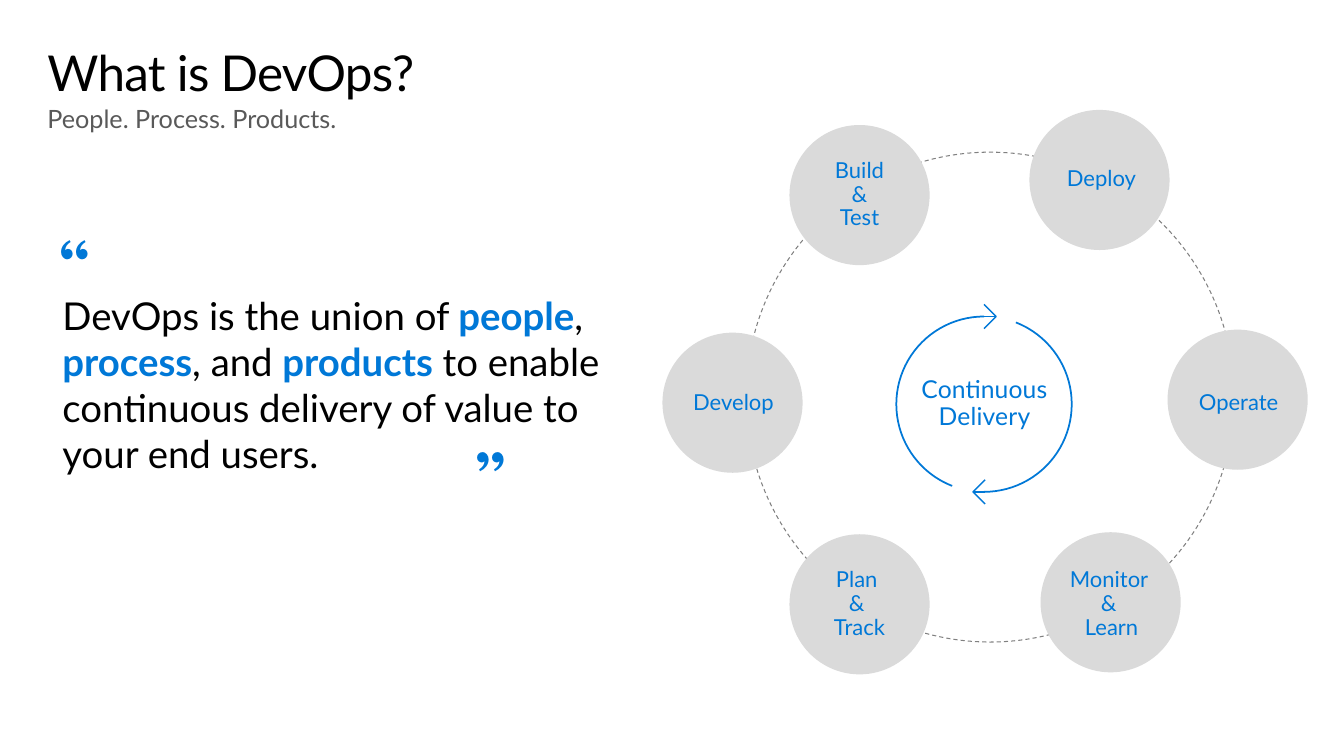
import copy

import pptx
import pptx.dml.color
import pptx.enum.dml
import pptx.enum.shapes
import pptx.enum.text
import pptx.oxml
import pptx.oxml.ns
import pptx.util
from pptx.util import Inches

BLUE = "0078D7"
BLACK = "000000"
DISC_SIZE = 1.39
CYCLE_X, CYCLE_Y, CYCLE_RADIUS = 9.76, 4.01, 0.87
LABEL_WIDTH = 1.27
LABEL_INSETS = (0.2, 0.16, 0.2, 0.16)

# Disc left and top, label, label left, top and height (None puts it in the disc)
STAGES = [
    (7.83, 1.24, "Build\n&\nTest", None),
    (10.21, 1.09, "Deploy", (10.29, 1.5, 0.55)),
    (11.58, 3.27, "Operate", (11.65, 3.72, 0.55)),
    (10.32, 5.28, "Monitor \n& \nLearn", (10.39, 5.48, 1.03)),
    (7.83, 5.3, "Plan \n& \nTrack", (7.89, 5.48, 1.03)),
    (6.57, 3.3, "Develop", (6.64, 3.72, 0.55)),
]


def rgb(color):
    return pptx.dml.color.RGBColor.from_string(color)


def add_run(paragraph, text, size, font, color, bold, spacing):
    """Add text to the paragraph; a newline becomes a line break of the same size."""
    for index, line in enumerate(text.split("\n")):
        if index:
            paragraph.add_line_break()
        run = paragraph.add_run()
        run.text = line
        run.font.name = font
        run.font.size = pptx.util.Pt(size)
        run.font.bold = bold
        run.font.color.rgb = rgb(color)
        if spacing:
            run.font._element.set("spc", str(round(spacing * 100)))
    for line_break in paragraph._p.findall(pptx.oxml.ns.qn("a:br")):
        if len(line_break) == 0:
            line_break.append(copy.deepcopy(run.font._element))


def write_text(shape, text, size=15.7, font="Lato", color=BLUE, spacing=0,
               insets=(0, 0, 0, 0), centered=False, middle=False, wrap=True,
               line_spacing=None):
    """Fill a shape with a string, or with a list of (text, is_keyword) pairs."""
    frame = shape.text_frame
    frame.word_wrap = wrap
    frame.auto_size = (pptx.enum.text.MSO_AUTO_SIZE.NONE if wrap
                       else pptx.enum.text.MSO_AUTO_SIZE.SHAPE_TO_FIT_TEXT)
    (frame.margin_left, frame.margin_top,
     frame.margin_right, frame.margin_bottom) = map(Inches, insets)
    anchors = pptx.enum.text.MSO_ANCHOR
    frame.vertical_anchor = anchors.MIDDLE if middle else anchors.TOP
    paragraph = frame.paragraphs[0]
    alignments = pptx.enum.text.PP_ALIGN
    paragraph.alignment = alignments.CENTER if centered else alignments.LEFT
    if line_spacing:
        paragraph.line_spacing = line_spacing
    parts = [(text, False)] if isinstance(text, str) else text
    for part, is_keyword in parts:
        add_run(paragraph, part, size, font, BLUE if is_keyword else color,
                is_keyword, spacing)


def add_text(slide, box, text, **text_format):
    write_text(slide.shapes.add_textbox(*map(Inches, box)), text, **text_format)


def style_outline(shape, color, width):
    shape.shadow.inherit = False
    shape.fill.background()
    shape.line.color.rgb = rgb(color)
    shape.line.width = pptx.util.Pt(width)


def add_ring(slide):
    ring = slide.shapes.add_shape(
        pptx.enum.shapes.MSO_SHAPE.OVAL,
        Inches(7.4), Inches(1.51), Inches(4.84), Inches(4.86))
    style_outline(ring, "808080", 0.75)
    ring.line.dash_style = pptx.enum.dml.MSO_LINE.DASH


def add_stage(slide, left, top, label, label_place):
    disc = slide.shapes.add_shape(
        pptx.enum.shapes.MSO_SHAPE.OVAL,
        Inches(left), Inches(top), Inches(DISC_SIZE), Inches(DISC_SIZE))
    disc.shadow.inherit = False
    disc.fill.solid()
    disc.fill.fore_color.rgb = rgb("DADADA")
    disc.line.fill.background()
    label_format = {"insets": LABEL_INSETS, "centered": True, "line_spacing": 0.9}
    if label_place:
        label_left, label_top, label_height = label_place
        add_text(slide, (label_left, label_top, LABEL_WIDTH, label_height),
                 label, **label_format)
    else:
        write_text(disc, label, middle=True, **label_format)


def add_cycle_arc(slide, start, end):
    """Draw part of the inner circle; angles in degrees, clockwise from the right."""
    arc = slide.shapes.add_shape(
        pptx.enum.shapes.MSO_SHAPE.ARC,
        Inches(CYCLE_X - CYCLE_RADIUS), Inches(CYCLE_Y - CYCLE_RADIUS),
        Inches(2 * CYCLE_RADIUS), Inches(2 * CYCLE_RADIUS))
    # Adjustments are in units of 100000, arc angles in 60000ths of a degree
    arc.adjustments[0] = start * 0.6
    arc.adjustments[1] = end * 0.6
    style_outline(arc, BLUE, 1.25)


def add_arrow_tip(slide, base_x, y, length):
    """Draw an open arrowhead with its shaft; a negative length points left."""
    tip_x = base_x + length
    builder = slide.shapes.build_freeform(
        Inches(base_x), Inches(y + 0.12), scale=1.0)
    builder.add_line_segments(
        [(Inches(tip_x), Inches(y)), (Inches(base_x), Inches(y - 0.12))],
        close=False)
    style_outline(builder.convert_to_shape(), BLUE, 1)
    shaft = slide.shapes.add_connector(
        pptx.enum.shapes.MSO_CONNECTOR.STRAIGHT,
        Inches(base_x), Inches(y), Inches(tip_x), Inches(y))
    shaft.line.color.rgb = rgb(BLUE)
    shaft.line.width = pptx.util.Pt(1)
    shaft._element.spPr.append(pptx.oxml.parse_xml(
        f"<a:effectLst {pptx.oxml.ns.nsdecls('a')}/>"))


def add_quote(slide):
    quote = [
        ("DevOps is the union of ", False), ("people", True), (", ", False),
        ("process", True), (", and ", False), ("products", True),
        (" to enable continuous delivery of value to your end users.", False),
    ]
    add_text(slide, (0.47, 2.07, 5.8, 4.25), quote, size=27.4, color=BLACK,
             insets=(0.15, 0.83, 0.2, 0.16))
    for mark, box in (("“", (0.47, 2.07, 0.85, 1.18)),
                      ("”", (4.6, 4.17, 0.83, 1.15))):
        add_text(slide, box, mark, size=62.7, font="TeX Gyre Bonum",
                 spacing=-0.1, insets=(0.1, 0.05, 0.1, 0.05), wrap=False)


def add_cycle(slide):
    add_text(slide, (8.86, 3.4, 1.81, 1.22), "Continuous\nDelivery", size=17.6,
             spacing=0.1, centered=True, middle=True, line_spacing=0.9)
    add_cycle_arc(slide, 291.3, 90)
    add_cycle_arc(slide, 111.3, 270)
    add_arrow_tip(slide, CYCLE_X, CYCLE_Y - CYCLE_RADIUS, 0.12)
    add_arrow_tip(slide, CYCLE_X + 0.01, CYCLE_Y + CYCLE_RADIUS, -0.12)


def main():
    presentation = pptx.Presentation()
    presentation.slide_width = Inches(13.33)
    presentation.slide_height = Inches(7.5)
    slide = presentation.slides.add_slide(presentation.slide_layouts[6])
    add_text(slide, (0.47, 1.03, 12.4, 0.3), "People. Process. Products.",
             size=18, color="595959")
    add_text(slide, (0.47, 0.24, 12.4, 0.81), "What is DevOps?", size=35.3,
             color=BLACK, spacing=-0.5, insets=(0, 0.18, 0, 0))
    add_quote(slide)
    add_ring(slide)
    add_cycle(slide)
    for stage in STAGES:
        add_stage(slide, *stage)
    presentation.save("out.pptx")


if __name__ == "__main__":
    main()
